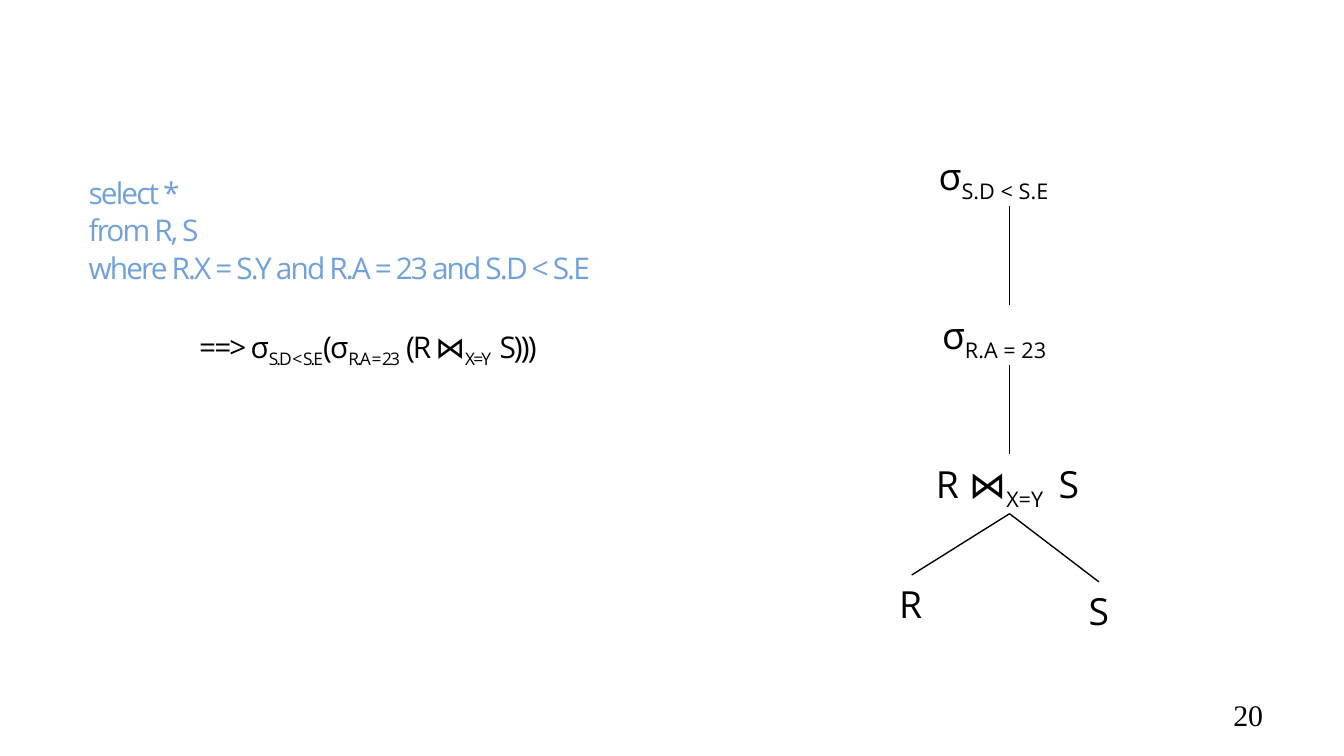
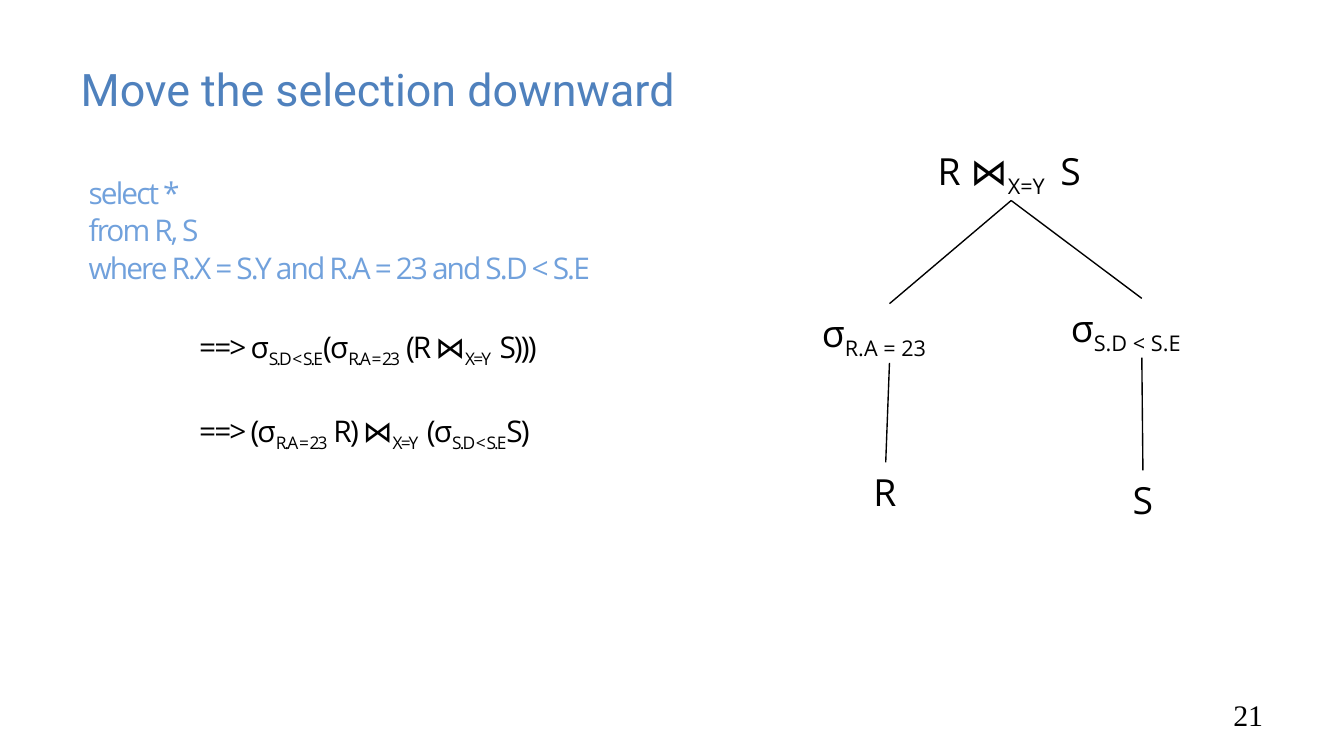
from lxml.etree import SubElement
from pptx import Presentation
from pptx.dml.color import RGBColor
from pptx.enum.shapes import MSO_CONNECTOR
from pptx.enum.text import MSO_ANCHOR, MSO_AUTO_SIZE, PP_ALIGN
from pptx.oxml.ns import qn
from pptx.util import Cm, Pt

COLORS = {"title": "4F81BD", "query": "71A1DC", "ink": "000000"}
BODY_FONT, TITLE_FONT, NUMBER_FONT = "Open Sans", "Roboto", "Times New Roman"
NODE_HEIGHT = 1.12

FILTER_S = ("S.D < S.E", True)
FILTER_R = ("R.A = 23", True)
JOIN_ON = ("X=Y ", True)

QUERY = [
    "select *",
    "from R, S",
    "where R.X = S.Y and R.A = 23 and S.D < S.E",
]
FIRST_PLAN = [("==> σ", False), FILTER_S, ("(σ", False), FILTER_R,
              (" (R ⋈", False), JOIN_ON, (" S)))", False)]
PUSHED_PLAN = [("==> (σ", False), FILTER_R, (" R) ⋈", False), JOIN_ON,
               (" (σ", False), FILTER_S, ("S)", False)]

NODES = {
    "select S": ([("σ", False), FILTER_S], 3.18),
    "select R": ([("σ", False), FILTER_R], 3.05),
    "join": ([("R ⋈", False), JOIN_ON, (" S", False)], 3.28),
    "S": ([("S", False)], 0.89),
    "R": ([("R", False)], 0.97),
}

SLIDES = [
    {
        "title": None,
        "number": "20",
        "plans": [FIRST_PLAN],
        "tree": {"select S": (19.08, 2.77), "select R": (19.08, 5.77),
                 "join": (19.08, 8.59), "S": (20.77, 11), "R": (17.23, 10.87)},
        "edges": [("select S", "select R"), ("select R", "join"),
                  ("join", "R"), ("join", "S")],
    },
    {
        "title": "Move the selection downward",
        "number": "21",
        "plans": [FIRST_PLAN, PUSHED_PLAN],
        "tree": {"select S": (21.58, 5.64), "select R": (16.81, 5.74),
                 "join": (19.11, 2.67), "S": (21.6, 8.89), "R": (16.74, 8.74)},
        "edges": [("select S", "S"), ("join", "select R"),
                  ("select R", "R"), ("join", "select S")],
    },
]


def place(shape, left, top, width, height):
    shape.left, shape.top = Cm(left), Cm(top)
    shape.width, shape.height = Cm(width), Cm(height)


def add_run(paragraph, text, size, color, font=BODY_FONT, subscript=False, spacing=0):
    run = paragraph.add_run()
    run.text = text
    run.font.size = Pt(size)
    run.font.name = font
    run.font.color.rgb = RGBColor.from_string(COLORS[color])
    properties = run.font._element
    if subscript:
        properties.set("baseline", "-25000")
    if spacing:
        properties.set("spc", str(spacing * 100))


def add_line(frame, terms, color, indent, space_before, level=0):
    paragraph = frame.paragraphs[0]
    if paragraph.runs:
        paragraph = frame.add_paragraph()
    paragraph.level = level
    paragraph.space_before = Pt(space_before)
    properties = paragraph._p.get_or_add_pPr()
    properties.set("marL", str(Cm(indent)))
    properties.set("indent", "0")
    SubElement(properties, qn("a:buNone"))
    for text, subscript in terms:
        add_run(paragraph, text, 16, color, subscript=subscript, spacing=-1)


def add_title(slide, text):
    title = slide.shapes.title
    if text is None:
        title._element.getparent().remove(title._element)
        return
    place(title, 1.27, 0.79, 22.43, 1.75)
    frame = title.text_frame
    frame.auto_size = MSO_AUTO_SIZE.NONE
    frame.vertical_anchor = MSO_ANCHOR.MIDDLE
    frame.paragraphs[0].alignment = PP_ALIGN.LEFT
    add_run(frame.paragraphs[0], text, 24, "title", TITLE_FONT)


def add_body(slide, plans):
    body = slide.placeholders[1]
    place(body, 1.27, 3.18, 12.12, 9.32)
    frame = body.text_frame
    frame.auto_size = MSO_AUTO_SIZE.NONE
    for text in QUERY:
        add_line(frame, [(text, False)], "query", 0.15, 0.7)
    for terms in plans:
        add_line(frame, terms, "ink", 2.24, 23.2, level=2)


def add_number(slide, number):
    box = slide.shapes.add_textbox(Cm(18.2), Cm(13), Cm(5.92), Cm(0.97))
    frame = box.text_frame
    frame.word_wrap = True
    frame.vertical_anchor = MSO_ANCHOR.BOTTOM
    frame.paragraphs[0].alignment = PP_ALIGN.RIGHT
    add_run(frame.paragraphs[0], number, 16, "ink", NUMBER_FONT)


def add_tree(slide, tree, edges):
    for name, (center, top) in tree.items():
        terms, width = NODES[name]
        box = slide.shapes.add_textbox(
            Cm(center - width / 2), Cm(top), Cm(width), Cm(NODE_HEIGHT))
        frame = box.text_frame
        frame.word_wrap = False
        frame.auto_size = MSO_AUTO_SIZE.SHAPE_TO_FIT_TEXT
        for text, subscript in terms:
            add_run(frame.paragraphs[0], text, 20, "ink", subscript=subscript)
    for parent, child in edges:
        (parent_x, parent_top), (child_x, child_top) = tree[parent], tree[child]
        edge = slide.shapes.add_connector(
            MSO_CONNECTOR.STRAIGHT, Cm(parent_x), Cm(parent_top + NODE_HEIGHT),
            Cm(child_x), Cm(child_top))
        edge.line.color.rgb = RGBColor.from_string(COLORS["ink"])
        edge.line.width = Pt(0.75)
        SubElement(edge._element.spPr, qn("a:effectLst"))


def main():
    presentation = Presentation()
    presentation.slide_width, presentation.slide_height = Cm(25.4), Cm(14.29)
    for content in SLIDES:
        slide = presentation.slides.add_slide(presentation.slide_layouts[1])
        add_title(slide, content["title"])
        add_body(slide, content["plans"])
        add_number(slide, content["number"])
        add_tree(slide, content["tree"], content["edges"])
    presentation.save("out.pptx")


if __name__ == "__main__":
    main()
